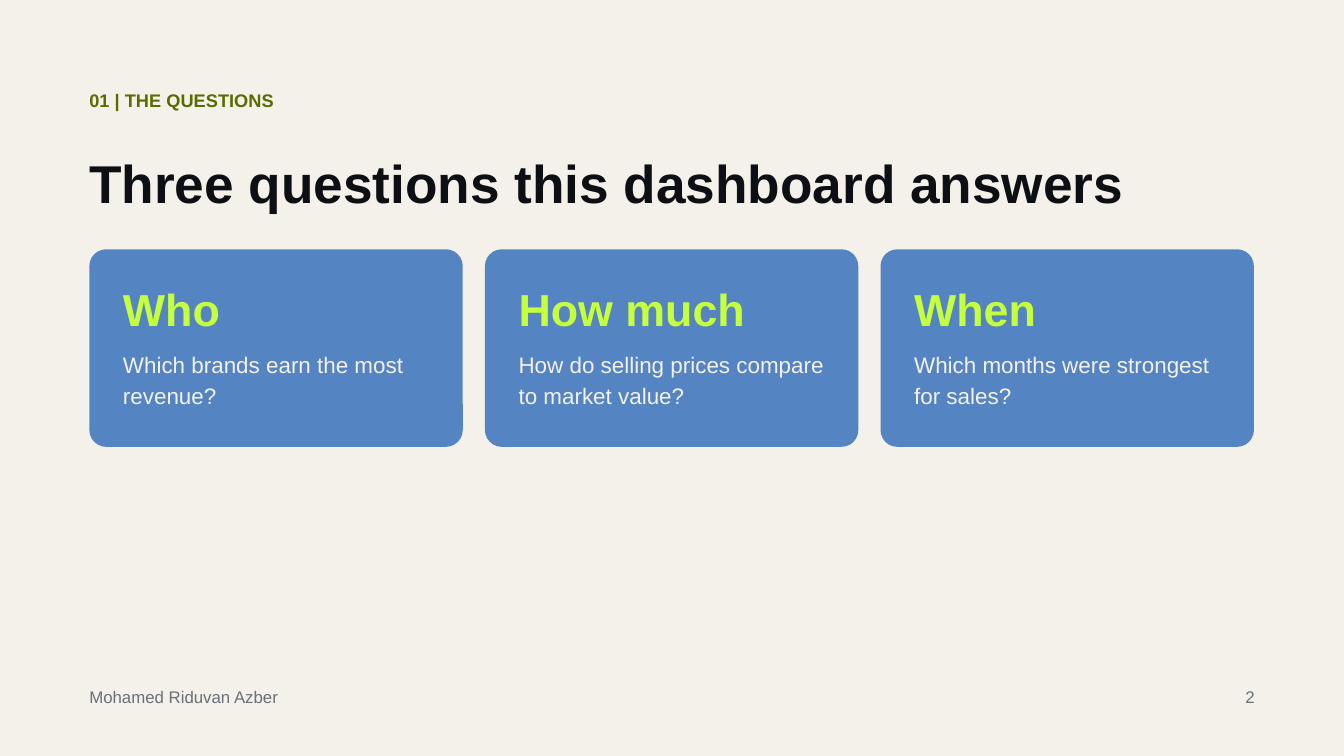
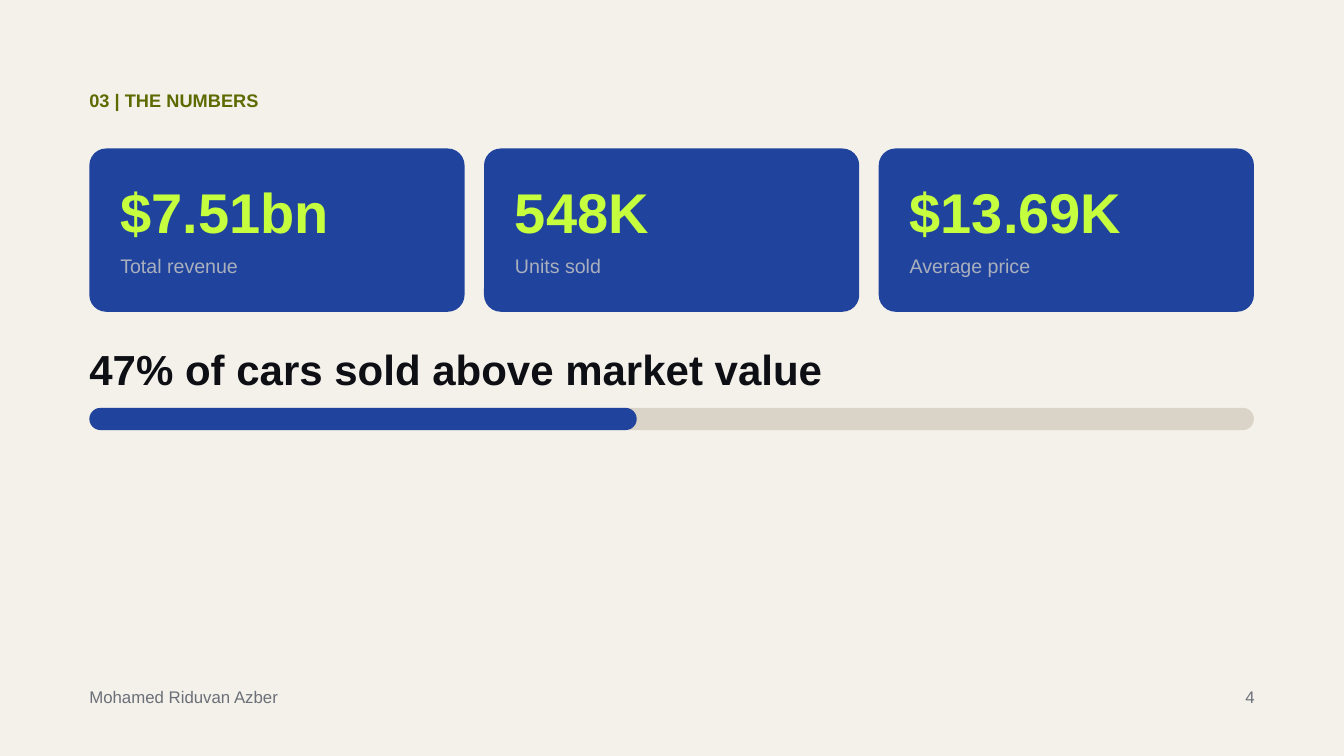
"""Build two dashboard slides: the questions and the numbers."""
from pptx import Presentation
from pptx.dml.color import RGBColor
from pptx.enum.shapes import MSO_SHAPE as Shape
from pptx.enum.text import MSO_ANCHOR as Anchor, MSO_AUTO_SIZE as AutoSize, PP_ALIGN as Align
from pptx.util import Inches, Pt

COLORS = {
    "background": "F4F1EA",
    "ink": "0D0F14",
    "olive": "5B6B00",
    "lime": "C6FF3D",
    "light_blue": "5584C2",
    "navy": "20449E",
    "mist": "A9AFBC",
    "track": "D9D4C7",
    "gray": "6B6F78",
}
FONT = "Arial"
LEFT, CONTENT_WIDTH, HEADING_WIDTH = 1.33, 17.33, 17.85
CORNER = 0.25
AUTHOR = "Mohamed Riduvan Azber"


def color(name):
    return RGBColor.from_string(COLORS[name])


def write_text(shape, text, *, size, fill, leading=1.4, bold=False, align=Align.LEFT):
    frame = shape.text_frame
    frame.word_wrap = True
    frame.auto_size = AutoSize.SHAPE_TO_FIT_TEXT
    frame.vertical_anchor = Anchor.TOP
    frame.margin_left = frame.margin_top = frame.margin_right = frame.margin_bottom = 0
    frame.text = text
    paragraph = frame.paragraphs[0]
    paragraph.alignment = align
    paragraph.line_spacing = Pt(round(size * leading, 1))
    paragraph.space_before = Pt(0)
    font = paragraph.font
    font.name, font.size, font.bold = FONT, Pt(size), bold
    font.color.rgb = color(fill)


class Deck:
    def __init__(self):
        self.presentation = Presentation()
        self.presentation.slide_width = Inches(20)
        self.presentation.slide_height = Inches(11.25)
        background = self.presentation.slide_master.background.fill
        background.solid()
        background.fore_color.rgb = color("background")
        self.slide = None

    def start_slide(self, section, number):
        layout = self.presentation.slide_layouts[5]
        self.slide = self.presentation.slides.add_slide(layout)
        self.text(section, LEFT, 1.27, HEADING_WIDTH, 0.48, size=19.5, fill="olive", bold=True)
        self.text(AUTHOR, LEFT, 10.17, 3.56, 0.45, size=18, fill="gray")
        self.text(str(number), 16.5, 10.17, 2.17, 0.45, size=18, fill="gray", align=Align.RIGHT)

    def title(self, text, top, height, size, leading):
        title = self.slide.shapes.title
        title.left, title.top = Inches(LEFT), Inches(top)
        title.width, title.height = Inches(HEADING_WIDTH), Inches(height)
        write_text(title, text, size=size, fill="ink", leading=leading, bold=True)

    def text(self, text, left, top, width, height, **style):
        box = self.slide.shapes.add_textbox(Inches(left), Inches(top), Inches(width), Inches(height))
        write_text(box, text, **style)

    def rounded(self, left, top, width, height, fill, radius=CORNER):
        shape = self.slide.shapes.add_shape(
            Shape.ROUNDED_RECTANGLE, Inches(left), Inches(top), Inches(width), Inches(height))
        shape.adjustments[0] = radius / min(width, height)
        shape.shadow.inherit = False
        shape.fill.solid()
        shape.fill.fore_color.rgb = color(fill)
        shape.line.fill.background()

    def cards(self, items, *, top, height, gap, fill, inset, text_width, heading, detail):
        """Draw a row of equal cards; heading and detail hold (top, height, style)."""
        width = (CONTENT_WIDTH - gap * (len(items) - 1)) / len(items)
        for index, texts in enumerate(items):
            left = LEFT + index * (width + gap)
            self.rounded(left, top, width, height, fill)
            for text, (text_top, text_height, style) in zip(texts, (heading, detail)):
                self.text(text, left + inset, text_top, text_width, text_height, **style)

    def progress_bar(self, share, top, height):
        for part, fill in ((1, "track"), (share, "navy")):
            self.rounded(LEFT, top, CONTENT_WIDTH * part, height, fill, radius=height / 2)


def build_questions(deck):
    deck.start_slide("01 | THE QUESTIONS", 2)
    deck.title("Three questions this dashboard answers", 2.36, 0.81, size=57, leading=1.05)
    questions = [
        ("Who", "Which brands earn the most revenue?"),
        ("How much", "How do selling prices compare to market value?"),
        ("When", "Which months were strongest for sales?"),
    ]
    deck.cards(
        questions, top=3.71, height=2.94, gap=0.33, fill="light_blue", inset=0.5, text_width=4.69,
        heading=(4.19, 0.86, dict(size=48, fill="lime", leading=1.2, bold=True)),
        detail=(5.16, 1.04, dict(size=24, fill="background")))


def build_numbers(deck):
    deck.start_slide("03 | THE NUMBERS", 4)
    figures = [
        ("$7.51bn", "Total revenue"),
        ("548K", "Units sold"),
        ("$13.69K", "Average price"),
    ]
    deck.cards(
        figures, top=2.21, height=2.43, gap=0.29, fill="navy", inset=0.46, text_width=4.81,
        heading=(2.64, 1.07, dict(size=60, fill="lime", leading=1.2, bold=True)),
        detail=(3.72, 0.5, dict(size=21, fill="mist")))
    deck.title("47% of cars sold above market value", 5.14, 0.76, size=45, leading=1.15)
    deck.progress_bar(0.47, 6.07, 0.33)


def main():
    deck = Deck()
    build_questions(deck)
    build_numbers(deck)
    deck.presentation.save("out.pptx")


if __name__ == "__main__":
    main()
